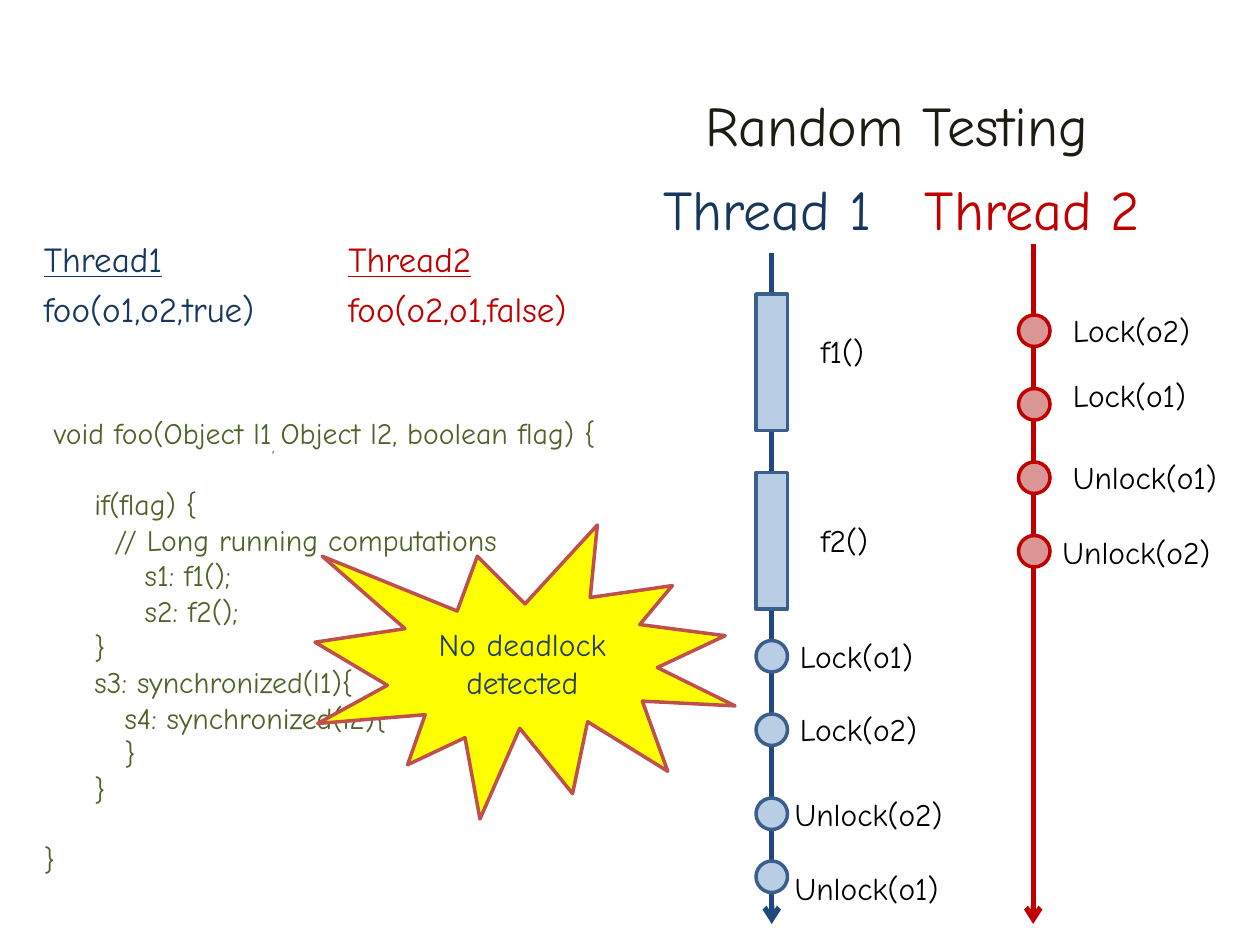
from pptx import Presentation
from pptx.dml.color import RGBColor
from pptx.enum.dml import MSO_LINE
from pptx.enum.shapes import MSO_CONNECTOR, MSO_SHAPE
from pptx.enum.text import MSO_ANCHOR, MSO_AUTO_SIZE, PP_ALIGN
from pptx.oxml.ns import qn
from pptx.util import Inches, Pt
from lxml.etree import SubElement

CELL = Inches(1) / 12
FONT = "Comic Neue"
COLORS = {
    "navy": "17375E", "red": "C00000", "axis": "1F497D", "code": "4F6228",
    "title": "1E1C11", "black": "000000", "blue fill": "B9CDE5",
    "blue edge": "3A5F8C", "red fill": "D99694", "yellow": "FFFF00",
    "burst edge": "C0504D", "burst text": "254061",
}


def add_text(paragraph, text, size, color):
    run = paragraph.add_run()
    run.text = text
    run.font.name = FONT
    run.font.size = Pt(size)
    run.font.color.rgb = RGBColor.from_string(COLORS[color])
    return run


def add_figure(kind, box, fill, edge):
    shape = slide.shapes.add_shape(kind, *[round(value * CELL) for value in box])
    shape.shadow.inherit = False
    shape.fill.solid()
    shape.fill.fore_color.rgb = RGBColor.from_string(COLORS[fill])
    shape.line.color.rgb = RGBColor.from_string(COLORS[edge])
    shape.line.width = Pt(2)
    return shape


presentation = Presentation()
presentation.slide_width = Inches(10)
presentation.slide_height = Inches(7.5)
slide = presentation.slides.add_slide(presentation.slide_layouts[6])

for column, top, color in [(73.5, 24.1, "axis"), (98.4, 23.2, "red")]:
    ends = [round(value * CELL) for value in (column, top, column, 88)]
    timeline = slide.shapes.add_connector(MSO_CONNECTOR.STRAIGHT, *ends)
    timeline.line.color.rgb = RGBColor.from_string(COLORS[color])
    timeline.line.width = Pt(3)
    timeline.line.dash_style = MSO_LINE.SOLID
    properties = timeline._element.spPr
    SubElement(properties.find(qn("a:ln")), qn("a:tailEnd"), type="arrow")
    SubElement(properties, qn("a:effectLst"))

calls = [
    (3, "navy", "Thread1", "foo(o1,o2,true)"),
    (32, "red", "Thread2", "foo(o2,o1,false)"),
]
for column, color, heading, call in calls:
    box = [round(value * CELL) for value in (column, 22, 29, 12)]
    frame = slide.shapes.add_textbox(*box).text_frame
    frame.word_wrap = True
    add_text(frame.paragraphs[0], heading, 20, color).font.underline = True
    add_text(frame.add_paragraph(), call, 20, color)
    for paragraph in frame.paragraphs:
        paragraph.space_before = Pt(4.6)

code_lines = [
    (1, 0, "void foo(Object l1"),
    (5, 1, "if(flag) {"),
    (7, 0, "// Long running computations"),
    (10, 0, "s1: f1();"),
    (10, 0, "s2: f2();"),
    (5, 0, "}"),
    (5, 0, "s3: synchronized(l1){"),
    (8, 0, "s4: synchronized(l2){"),
    (8, 0, "}"),
    (5, 0, "}"),
    (0, 1, "}"),
]
box = [round(value * CELL) for value in (3, 39.3, 62, 48.7)]
code = slide.shapes.add_textbox(*box).text_frame
code.word_wrap = True
for index, (indent, gap, text) in enumerate(code_lines):
    paragraph = code.add_paragraph() if index else code.paragraphs[0]
    paragraph.line_spacing = 0.8
    paragraph.space_before = Pt(4 + 19.8 * gap)
    paragraph._p.get_or_add_pPr().set("marL", str(Inches(0.08 * indent)))
    add_text(paragraph, text, 17, "code")
signature = code.paragraphs[0]
comma = add_text(signature, ", ", 17, "code")
comma._r.get_or_add_rPr().set("baseline", "-25000")
add_text(signature, "Object l2, boolean flag) {", 17, "code")

for row in (82, 76, 68, 61):
    add_figure(MSO_SHAPE.OVAL, (72, row, 3, 3), "blue fill", "blue edge")
for step in range(4):
    add_figure(MSO_SHAPE.OVAL, (97, 30 + 7 * step, 3, 3), "red fill", "red")
for row in (28, 45):
    add_figure(MSO_SHAPE.RECTANGLE, (72, row, 3, 13), "blue fill", "blue edge")

labels = [
    ("Random Testing", 66, 8, 42.1, 32, "title"),
    ("Thread 1", 62, 16, 24.7, 32, "navy"),
    ("Thread 2", 86.9, 16, 25.6, 32, "red"),
    ("f1()", 77, 31, 7.6, 18, "black"),
    ("f2()", 77, 49, 8, 18, "black"),
    ("Lock(o1)", 75, 60.1, 14, 18, "black"),
    ("Lock(o2)", 75, 67, 14.5, 18, "black"),
    ("Unlock(o2)", 74.5, 75.1, 17.5, 18, "black"),
    ("Unlock(o1)", 74.5, 82.2, 17, 18, "black"),
    ("Lock(o2)", 101, 29, 14.5, 18, "black"),
    ("Lock(o1)", 101, 35.2, 14, 18, "black"),
    ("Unlock(o1)", 101, 43, 17, 18, "black"),
    ("Unlock(o2)", 100, 50.2, 17.5, 18, "black"),
]
for text, column, row, width, size, color in labels:
    height = 7.7 if size == 32 else 4.8
    box = [round(value * CELL) for value in (column, row, width, height)]
    frame = slide.shapes.add_textbox(*box).text_frame
    frame.word_wrap = False
    frame.auto_size = MSO_AUTO_SIZE.SHAPE_TO_FIT_TEXT
    add_text(frame.paragraphs[0], text, size, color)

burst = add_figure(MSO_SHAPE.EXPLOSION1, (30, 50, 40, 28), "yellow", "burst edge")
burst.text_frame.word_wrap = True
burst.text_frame.vertical_anchor = MSO_ANCHOR.MIDDLE
message = burst.text_frame.paragraphs[0]
message.alignment = PP_ALIGN.CENTER
add_text(message, "No deadlock detected", 18, "burst text")

presentation.save("out.pptx")
